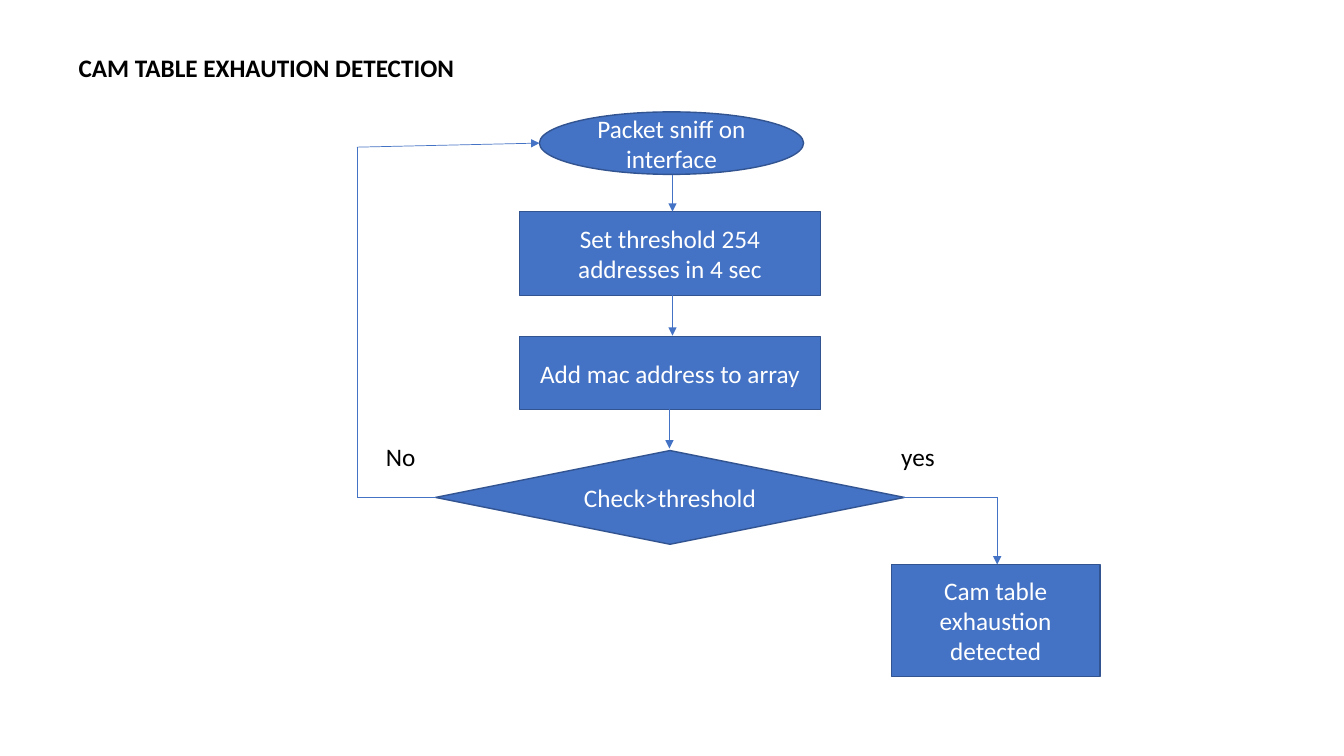
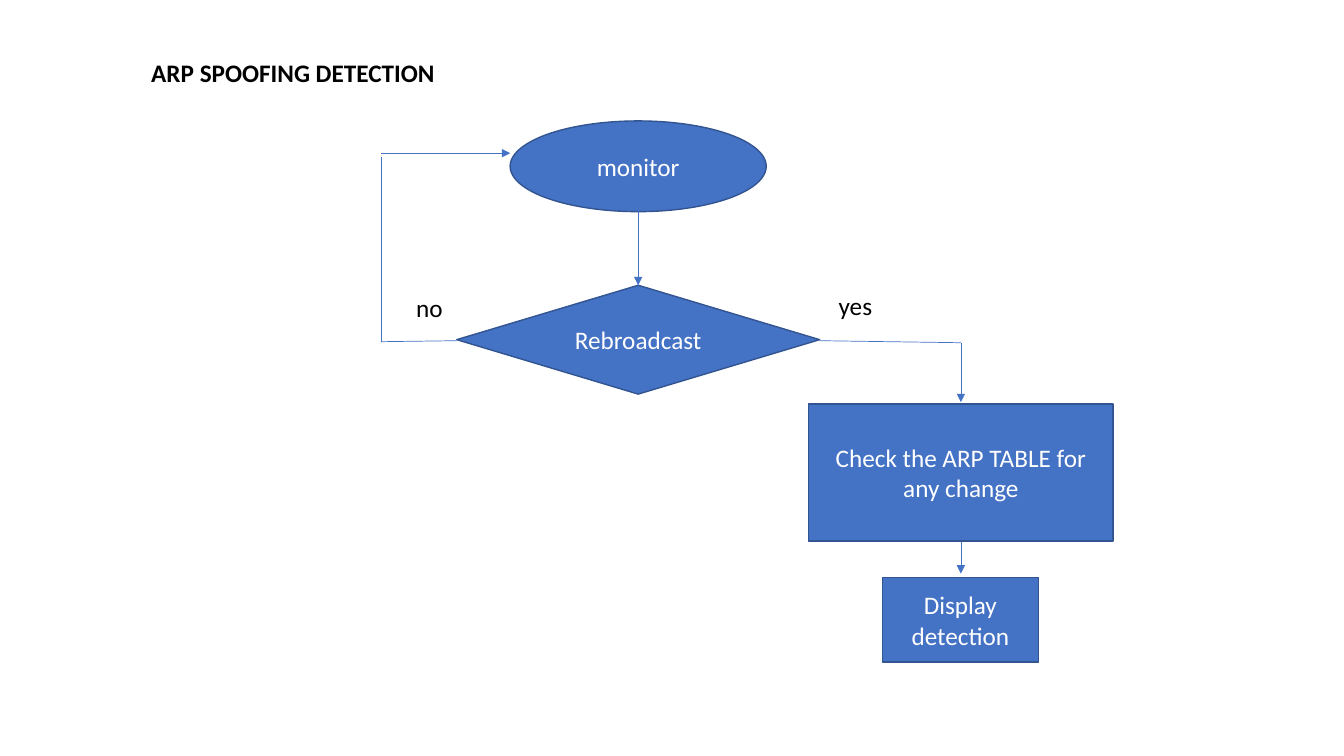
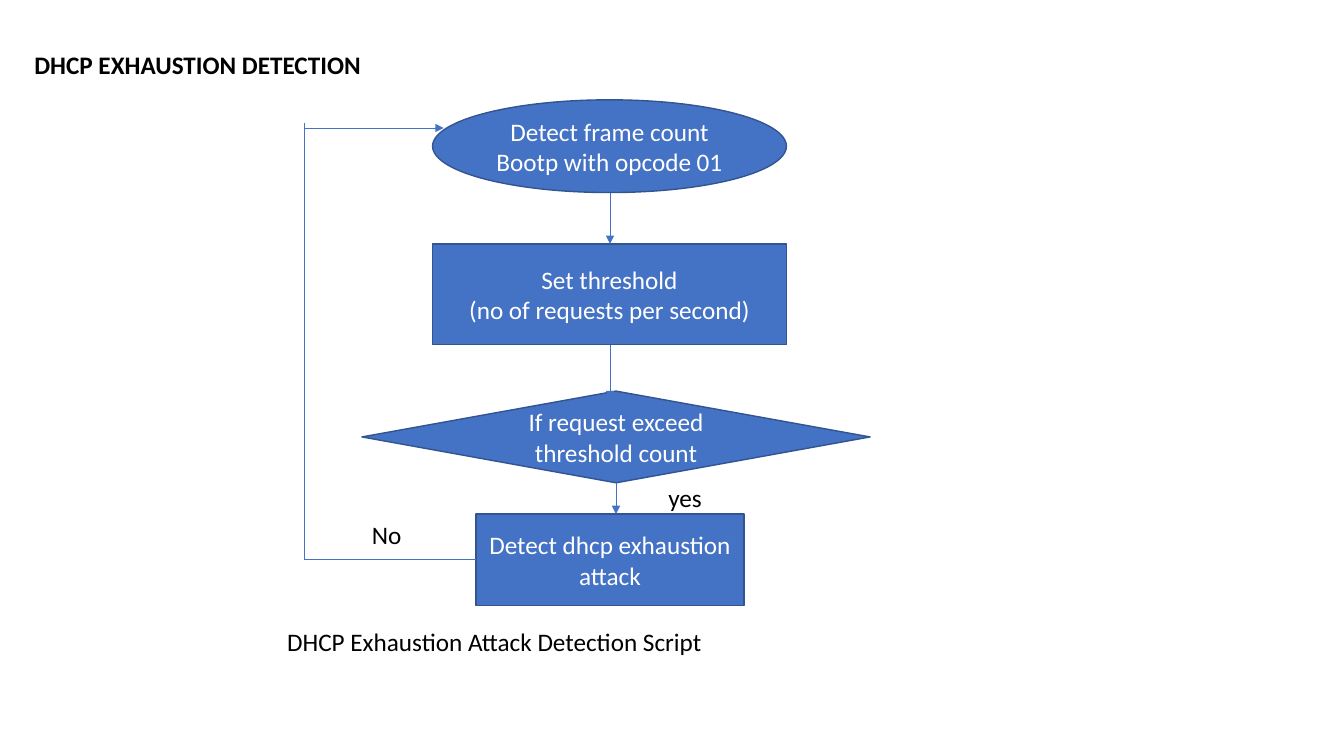
import pptx
import pptx.dml.color
import pptx.enum.shapes
import pptx.enum.text
import pptx.oxml.ns
import pptx.oxml.xmlchemy
import pptx.util

# Shared style
EMU_PER_PX = 9144  # 100 px to the inch
FONT = "Calibri"
TEXT_SIZE = 18
BLACK, WHITE = "000000", "FFFFFF"
NODE_FILL, NODE_EDGE, ARROW_BLUE = "4472C4", "325491", "4472C4"
NODE_EDGE_WIDTH, ARROW_WIDTH = 1, 0.5

SHAPES = pptx.enum.shapes.MSO_SHAPE
START, STEP, DECISION = SHAPES.OVAL, SHAPES.RECTANGLE, SHAPES.DIAMOND
ALIGN = pptx.enum.text.PP_ALIGN
ANCHOR = pptx.enum.text.MSO_ANCHOR
AUTO_SIZE = pptx.enum.text.MSO_AUTO_SIZE


def px(*lengths):
    return [pptx.util.Emu(length * EMU_PER_PX) for length in lengths]


def rgb(hex_color):
    return pptx.dml.color.RGBColor.from_string(hex_color)


def write(frame, text, color=BLACK, bold=False, align=ALIGN.LEFT,
          anchor=ANCHOR.TOP, fit=AUTO_SIZE.NONE):
    """Fill a text frame; each line of text becomes a paragraph."""
    frame.text = text
    frame.word_wrap = True
    frame.auto_size = fit
    frame.vertical_anchor = anchor
    for paragraph in frame.paragraphs:
        paragraph.alignment = align
        font = paragraph.runs[0].font
        font.name, font.size, font.bold = FONT, pptx.util.Pt(TEXT_SIZE), bold
        font.color.rgb = rgb(color)


def titled_slide(deck, title, left, top, width, height):
    slide = deck.slides.add_slide(deck.slide_layouts[5])
    heading = slide.shapes.title
    heading.left, heading.top, heading.width, heading.height = px(left, top, width, height)
    write(heading.text_frame, title, bold=True)
    return slide


def node(slide, kind, text, *box):
    """Flowchart node: start, step or decision."""
    shape = slide.shapes.add_shape(kind, *px(*box))
    shape.shadow.inherit = False
    shape.fill.solid()
    shape.fill.fore_color.rgb = rgb(NODE_FILL)
    shape.line.color.rgb = rgb(NODE_EDGE)
    shape.line.width = pptx.util.Pt(NODE_EDGE_WIDTH)
    write(shape.text_frame, text, color=WHITE, align=ALIGN.CENTER, anchor=ANCHOR.MIDDLE)


def label(slide, text, *box):
    caption = slide.shapes.add_textbox(*px(*box))
    write(caption.text_frame, text, fit=AUTO_SIZE.SHAPE_TO_FIT_TEXT)


def route(slide, *points, arrow=True):
    """Straight segments through the points, with an arrowhead on the last."""
    for start, end in zip(points, points[1:]):
        segment = slide.shapes.add_connector(
            pptx.enum.shapes.MSO_CONNECTOR.STRAIGHT, *px(*start, *end))
        segment.line.color.rgb = rgb(ARROW_BLUE)
        segment.line.width = pptx.util.Pt(ARROW_WIDTH)
        properties = segment._element.spPr
        if arrow and end == points[-1]:
            head = pptx.oxml.xmlchemy.OxmlElement("a:tailEnd")
            head.set("type", "triangle")
            properties.find(pptx.oxml.ns.qn("a:ln")).append(head)
        properties.append(pptx.oxml.xmlchemy.OxmlElement("a:effectLst"))


def cam_table_slide(deck):
    slide = titled_slide(deck, "CAM TABLE EXHAUTION DETECTION", 68, 47, 447, 41)
    node(slide, START, "Packet sniff on interface", 535, 111, 262, 62)
    node(slide, STEP, "Set threshold 254 addresses in 4 sec", 515, 210, 299, 83)
    node(slide, STEP, "Add mac address to array", 515, 334, 299, 72)
    node(slide, DECISION, "Check>threshold", 432, 447, 465, 93)
    node(slide, STEP, "Cam table exhaustion detected", 884, 560, 207, 111)

    # Main flow
    for x, top, bottom in [(667, 174, 210), (667, 292, 333), (664, 406, 445)]:
        route(slide, (x, top), (x, bottom))

    # Branches
    route(slide, (896, 493), (989, 493), (989, 560))
    label(slide, "yes", 884, 433, 112, 40)
    route(slide, (432, 493), (354, 493), (354, 146), (535, 142))
    label(slide, "No", 373, 433, 71, 40)


def arp_spoofing_slide(deck):
    slide = titled_slide(deck, "ARP SPOOFING DETECTION", 140, 52, 408, 41)
    node(slide, START, "monitor", 506, 120, 254, 90)
    node(slide, DECISION, "Rebroadcast", 453, 283, 360, 108)
    node(slide, STEP, "Check the ARP TABLE for any change", 802, 401, 302, 136)
    node(slide, STEP, "Display detection", 875, 573, 155, 84)

    # Main flow
    route(slide, (633, 209), (633, 283))
    route(slide, (953, 538), (953, 569))

    # Branches
    route(slide, (813, 338), (953, 340), (953, 399))
    label(slide, "yes", 822, 283, 100, 40)
    route(slide, (453, 338), (378, 339), (378, 156), arrow=False)
    route(slide, (378, 152), (506, 152))
    label(slide, "no", 403, 285, 58, 40)


def dhcp_slide(deck):
    slide = titled_slide(deck, "DHCP EXHAUSTION DETECTION", 24, 44, 405, 40)
    node(slide, START, "Detect frame count Bootp with opcode 01", 429, 99, 351, 92)
    node(slide, STEP, "Set threshold\n(no of requests per second)", 429, 242, 351, 100)
    node(slide, DECISION, "If request exceed threshold count", 359, 388, 504, 91)
    node(slide, STEP, "Detect dhcp exhaustion attack", 472, 510, 266, 91)
    label(slide, "DHCP Exhaustion Attack Detection Script", 275, 616, 606, 40)

    # Main flow
    for x, top, bottom in [(605, 191, 242), (605, 342, 396), (611, 479, 510)]:
        route(slide, (x, top), (x, bottom))
    label(slide, "yes", 653, 474, 84, 40)

    # Return branch
    route(slide, (472, 555), (302, 555), (302, 122), arrow=False)
    route(slide, (303, 127), (440, 127))
    label(slide, "No", 359, 510, 90, 40)


def main():
    deck = pptx.Presentation()
    deck.slide_width, deck.slide_height = px(1333, 750)
    cam_table_slide(deck)
    arp_spoofing_slide(deck)
    dhcp_slide(deck)
    deck.save("out.pptx")


if __name__ == "__main__":
    main()
